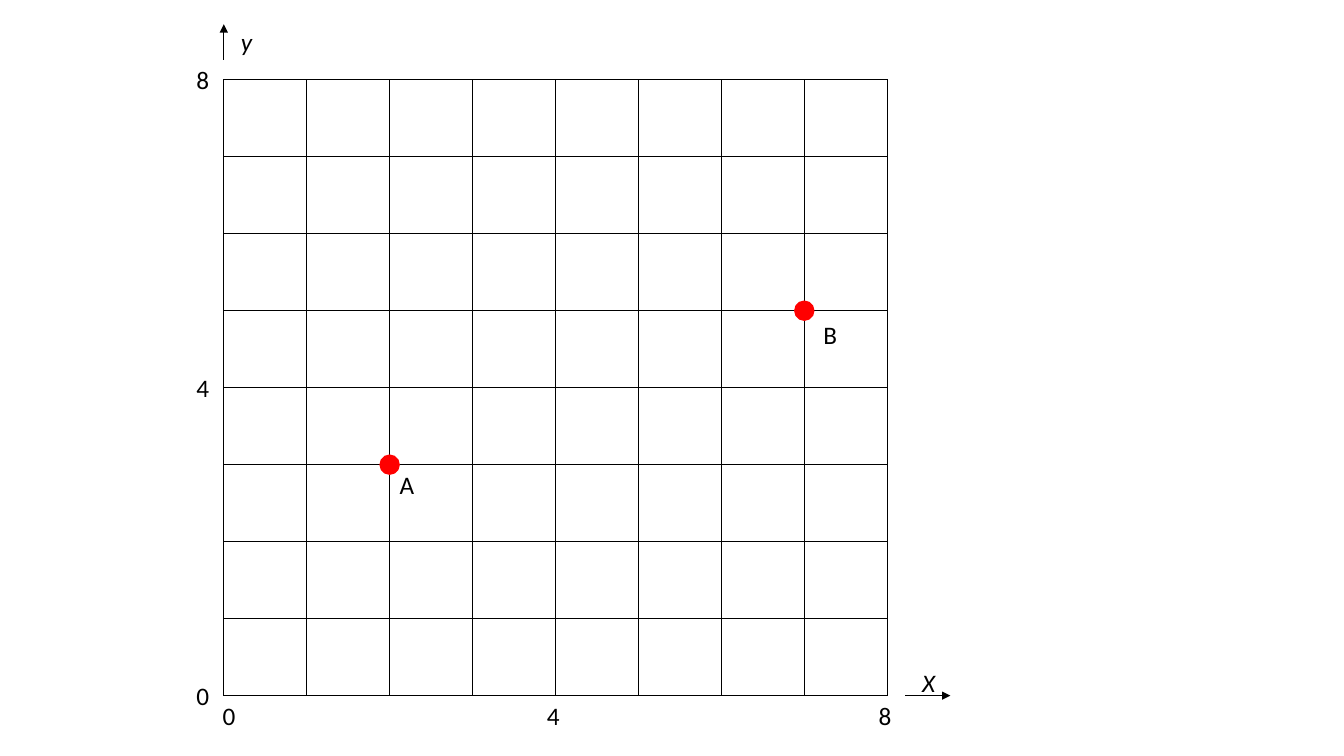
from pptx import Presentation
from pptx.dml.color import RGBColor
from pptx.enum.shapes import MSO_CONNECTOR, MSO_SHAPE
from pptx.enum.text import MSO_AUTO_SIZE
from pptx.oxml import parse_xml
from pptx.oxml.ns import nsdecls, qn
from pptx.oxml.xmlchemy import OxmlElement
from pptx.util import Cm, Pt

COLORS = {"ink": "000000", "point": "FF0000"}
FONT = "Calibri"
CELLS = 8
LEFT, TOP = 5.64, 2.01
CELL_W, CELL_H = 2.09, 1.94
LABEL_W, LABEL_H = 0.94, 1.02
DOT = 0.48


def rgb(name):
    return RGBColor.from_string(COLORS[name])


def grid_x(x):
    return LEFT + x * CELL_W


def grid_y(y):
    return TOP + (CELLS - y) * CELL_H


def add_text(s, text, x, y, width=LABEL_W, size=18, italic=False, color="ink"):
    sp = s.shapes.add_textbox(Cm(x), Cm(y), Cm(width), Cm(LABEL_H))
    tf = sp.text_frame
    tf.word_wrap = True
    tf.auto_size = MSO_AUTO_SIZE.SHAPE_TO_FIT_TEXT
    r = tf.paragraphs[0].add_run()
    r.text = text
    r.font.name = FONT
    r.font.size = Pt(size)
    r.font.italic = italic
    r.font.color.rgb = rgb(color)


def set_borders(cell):
    tcPr = cell._tc.get_or_add_tcPr()
    for i, side in enumerate(("lnL", "lnR", "lnT", "lnB")):
        tcPr.insert(i, parse_xml(
            f'<a:{side} {nsdecls("a")} w="{Pt(1)}"><a:solidFill>'
            f'<a:srgbClr val="{COLORS["ink"]}"/></a:solidFill></a:{side}>'))


def add_grid(s):
    table = s.shapes.add_table(CELLS, CELLS, Cm(LEFT), Cm(TOP),
                               Cm(CELLS * CELL_W), Cm(CELLS * CELL_H)).table
    table.first_row = False
    table.horz_banding = False
    for col in table.columns:
        col.width = Cm(CELL_W)
    for row in table.rows:
        row.height = Cm(CELL_H)
    for cell in table.iter_cells():
        cell.fill.background()
        set_borders(cell)


def add_arrow(s, x1, y1, x2, y2):
    c = s.shapes.add_connector(MSO_CONNECTOR.STRAIGHT,
                               Cm(x1), Cm(y1), Cm(x2), Cm(y2))
    c.line.color.rgb = rgb("ink")
    c.line.width = Pt(0.5)
    spPr = c._element.spPr
    head = OxmlElement("a:tailEnd")
    head.set("type", "triangle")
    spPr.find(qn("a:ln")).append(head)
    spPr.append(OxmlElement("a:effectLst"))


def add_point(s, x, y):
    sp = s.shapes.add_shape(MSO_SHAPE.FLOWCHART_CONNECTOR,
                            Cm(grid_x(x) - DOT / 2), Cm(grid_y(y) - DOT / 2),
                            Cm(DOT), Cm(DOT))
    sp.shadow.inherit = False
    sp.fill.solid()
    sp.fill.fore_color.rgb = rgb("point")
    sp.line.color.rgb = rgb("point")
    sp.line.width = Pt(1)


def main():
    prs = Presentation()
    prs.slide_width, prs.slide_height = Cm(33.87), Cm(19.05)
    s = prs.slides.add_slide(prs.slide_layouts[6])

    add_grid(s)
    for value, shift in ((0, 0.28), (4, 0.47), (8, 0.47)):
        add_text(s, str(value), grid_x(value) - shift, grid_y(0))
        add_text(s, str(value), LEFT - LABEL_W, grid_y(value) - LABEL_H / 2)

    add_arrow(s, 22.81, grid_y(0), 23.95, grid_y(0))
    add_text(s, "X", 22.99, 16.69, width=0.76, italic=True)
    add_arrow(s, LEFT, 1.5, LEFT, 0.61)
    add_text(s, "y", 5.82, 0.53, width=0.76, italic=True)

    for name, x, y, dx, dy in (("A", 2, 3, 0, 0), ("B", 7, 5, 0.23, 0.09)):
        add_point(s, x, y)
        add_text(s, name, grid_x(x) + dx, grid_y(y) + dy, width=2.67)

    prs.save("out.pptx")


if __name__ == "__main__":
    main()
